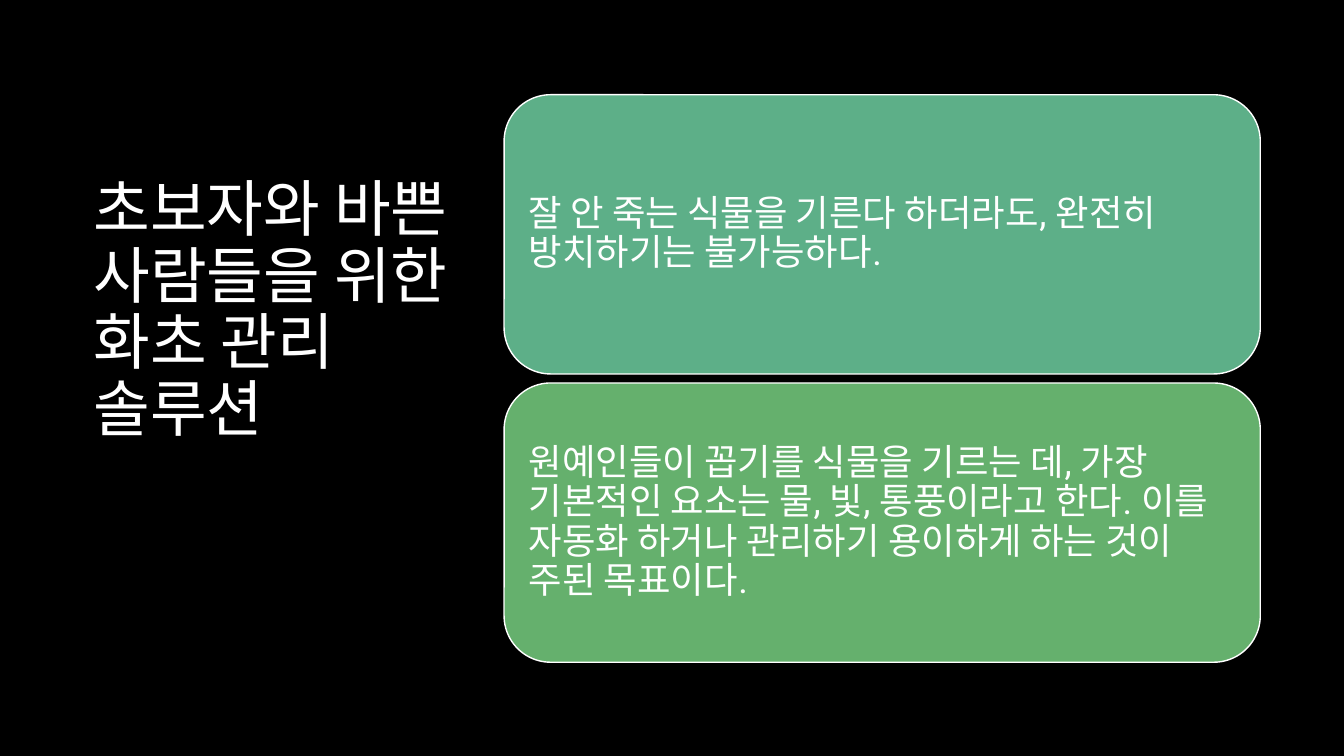
from pptx import Presentation
from pptx.dml.color import RGBColor
from pptx.enum.shapes import MSO_SHAPE
from pptx.enum.text import MSO_ANCHOR
from pptx.util import Inches, Pt

ROUND = MSO_SHAPE.ROUNDED_RECTANGLE
TOP, MIDDLE = MSO_ANCHOR.TOP, MSO_ANCHOR.MIDDLE
LEFT = 1
BLACK = RGBColor(0x00, 0x00, 0x00)
WHITE = RGBColor(0xFF, 0xFF, 0xFF)
TEAL = RGBColor(0x5D, 0xAF, 0x88)
GREEN = RGBColor(0x65, 0xB0, 0x6D)

TITLE = "초보자와 바쁜 사람들을 위한 화초 관리 솔루션"
CARDS = [
    (TEAL, "잘 안 죽는 식물을 기른다 하더라도, 완전히 방치하기는 불가능하다."),
    (GREEN, "원예인들이 꼽기를 식물을 기르는 데, 가장 기본적인 요소는 물, 빛, "
            "통풍이라고 한다. 이를 자동화 하거나 관리하기 용이하게 하는 것이 "
            "주된 목표이다."),
]
CARD_TOP = 0.94
CARD_STEP = 2.86


def apply(target, values):
    for name, value in values.items():
        setattr(target, name, value)


def write(shape, text, font, size, anchor, inset):
    frame = shape.text_frame
    margin = Inches(inset)
    apply(frame, {
        "word_wrap": True,
        "vertical_anchor": anchor,
        "margin_left": margin,
        "margin_right": margin,
        "margin_top": margin,
        "margin_bottom": margin,
    })
    para = frame.paragraphs[0]
    apply(para, {"alignment": LEFT, "line_spacing": 0.9})
    run = para.add_run()
    run.text = text
    apply(run.font, {"name": font, "size": Pt(size)})
    run.font.color.rgb = WHITE


def add_title(slide, text):
    box = slide.shapes.add_textbox(
        Inches(0.83), Inches(1.67), Inches(4.17), Inches(4.16))
    write(box, text, "Roboto Condensed", 44, TOP, 0.1)


def add_card(slide, top, color, text):
    card = slide.shapes.add_shape(
        ROUND, Inches(5), Inches(top), Inches(7.5), Inches(2.77))
    card.shadow.inherit = False
    card.fill.solid()
    card.fill.fore_color.rgb = color
    card.line.color.rgb = WHITE
    card.line.width = Pt(1)
    write(card, text, "Roboto", 26, MIDDLE, 0.11)


def main():
    deck = Presentation()
    apply(deck, {"slide_width": Inches(13.33), "slide_height": Inches(7.5)})
    slide = deck.slides.add_slide(deck.slide_layouts[6])
    slide.background.fill.solid()
    slide.background.fill.fore_color.rgb = BLACK
    add_title(slide, TITLE)
    for index, (color, text) in enumerate(CARDS):
        add_card(slide, CARD_TOP + index * CARD_STEP, color, text)
    deck.save("out.pptx")


if __name__ == "__main__":
    main()
